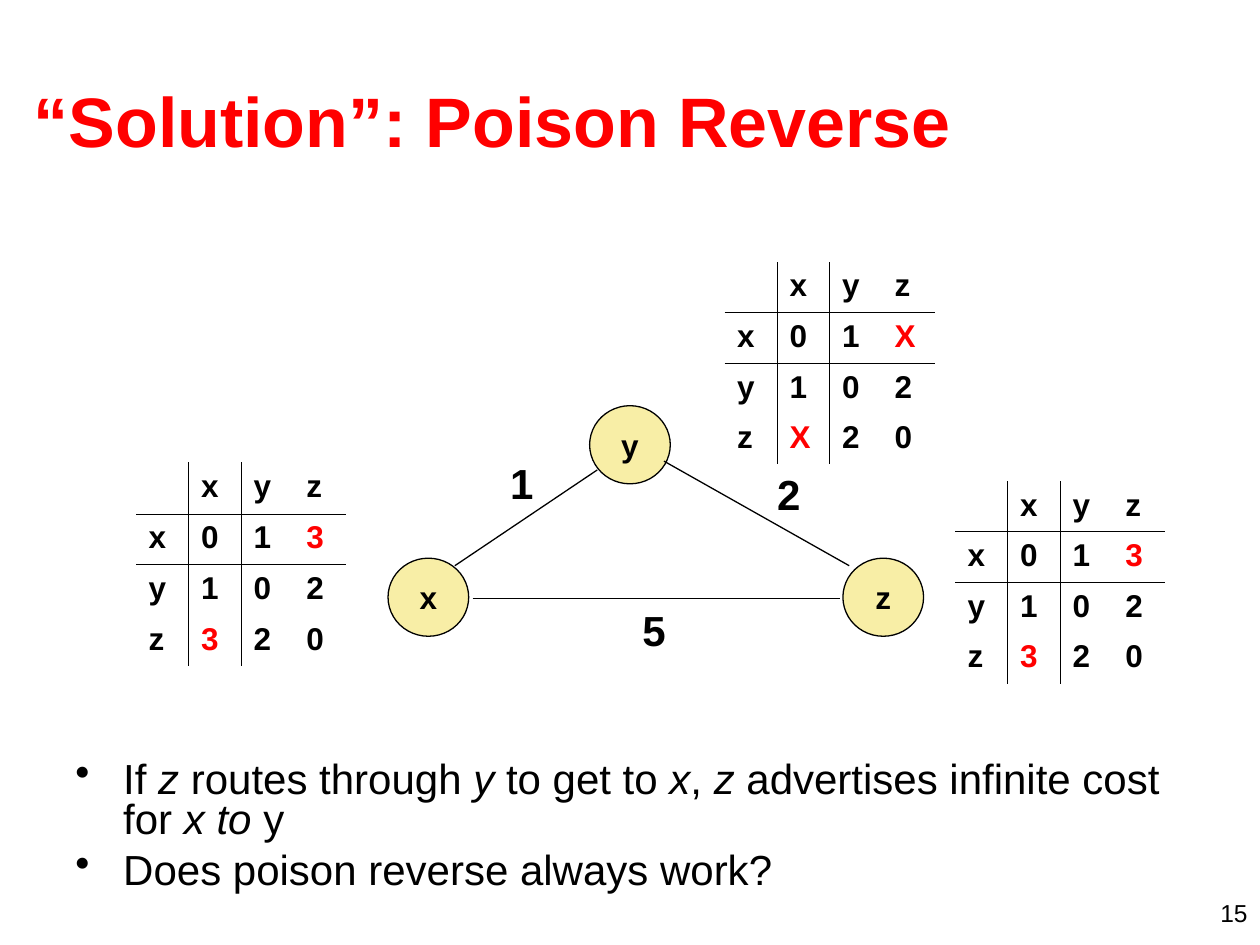
import pptx
import pptx.util
import pptx.dml.color
import pptx.enum.shapes
import pptx.enum.text
import pptx.oxml
import pptx.oxml.ns

Inches, Pt = pptx.util.Inches, pptx.util.Pt
RGBColor = pptx.dml.color.RGBColor
Align = pptx.enum.text.PP_ALIGN
Anchor = pptx.enum.text.MSO_ANCHOR

BLACK = RGBColor(0, 0, 0)
RED = RGBColor(0xFF, 0, 0)
YELLOW = RGBColor(0xF8, 0xEE, 0xA6)
NO_STYLE = "{2D5ABB26-0587-4C30-8999-92F81FD0307C}"

TITLE = "“Solution”: Poison Reverse"
BULLETS = [
    "If *z* routes through *y* to get to *x*, *z* advertises infinite cost for *x to *y",
    "Does poison reverse always work?",
]
PAGE_NUMBER = "15"
NAMES = ["x", "y", "z"]
COST_TABLES = [(1.08, 3.67, "3", 0.41), (5.75, 2.08, "X", 0.4), (7.58, 3.82, "3", 0.4)]
ROUTERS = {"y": (4.68, 3.22), "x": (3.08, 4.43), "z": (6.69, 4.43)}
LINKS = [
    ("5", (3.75, 4.75), (6.67, 4.75), (5, 4.75, 0.75, 0.5)),
    ("1", (3.61, 4.49), (4.74, 3.73), (3.95, 3.58, 0.47, 0.5)),
    ("2", (5.27, 3.66), (6.74, 4.49), (6.07, 3.67, 0.47, 0.5)),
]
ROUTER_SIZE = (0.64, 0.62)
CELL_WIDTH, ROW_HEIGHT = 0.417, 0.402


def inches(*lengths):
    return [Inches(length) for length in lengths]


def write(frame, *paragraphs, size=18, color=BLACK, bold=False, align=Align.LEFT,
          before=0, spacing=None, bullet=False):
    for index, text in enumerate(paragraphs):
        paragraph = frame.add_paragraph() if index else frame.paragraphs[0]
        paragraph.alignment = align
        paragraph.space_before = Pt(before)
        if spacing:
            paragraph.line_spacing = spacing
        if bullet:
            properties = paragraph._p.get_or_add_pPr()
            properties.set("marL", str(Inches(0.38)))
            properties.set("indent", str(-Inches(0.38)))
            mark = pptx.oxml.parse_xml(f'<a:buChar {pptx.oxml.ns.nsdecls("a")} char="•"/>')
            properties.append(mark)
        for part, piece in enumerate(text.split("*")):
            run = paragraph.add_run()
            run.text = piece
            run.font.name = "Arial"
            run.font.size = Pt(size)
            run.font.bold = bold
            run.font.italic = part % 2 == 1
            run.font.color.rgb = color


def add_text(slide, box, *paragraphs, anchor=Anchor.TOP, **text_format):
    frame = slide.shapes.add_textbox(*inches(*box)).text_frame
    frame.word_wrap = True
    frame.vertical_anchor = anchor
    write(frame, *paragraphs, **text_format)


def draw_borders(cell, sides):
    properties = cell._tc.get_or_add_tcPr()
    for side in sides:
        properties.append(pptx.oxml.parse_xml(
            f'<a:ln{side} {pptx.oxml.ns.nsdecls("a")} w="{Pt(0.45)}">'
            f'<a:solidFill><a:srgbClr val="{BLACK}"/></a:solidFill></a:ln{side}>'))


def add_cost_table(slide, left, top, far_cost, header_height):
    costs = [["0", "1", far_cost], ["1", "0", "2"], [far_cost, "2", "0"]]
    grid = [[""] + NAMES] + [[name] + row for name, row in zip(NAMES, costs)]
    count = len(grid)
    table = slide.shapes.add_table(
        count, count, *inches(left, top, count * CELL_WIDTH, count * ROW_HEIGHT)).table
    table.first_row = table.horz_banding = False
    table._tbl.tblPr.find(pptx.oxml.ns.qn("a:tableStyleId")).text = NO_STYLE
    for index in range(count):
        table.columns[index].width = Inches(CELL_WIDTH)
        table.rows[index].height = Inches(ROW_HEIGHT if index else header_height)
    for row, values in enumerate(grid):
        for column, value in enumerate(values):
            cell = table.cell(row, column)
            beside_rule = {0: "R", 1: "L"}.get(column, "")
            along_rule = {0: "B", 1: "T"}.get(row, "")
            draw_borders(cell, beside_rule + along_rule)
            cell.fill.background()
            if value:
                write(cell.text_frame, value, bold=True, before=4.5,
                      color=RED if value == far_cost else BLACK)


def add_router(slide, name, place):
    router = slide.shapes.add_shape(
        pptx.enum.shapes.MSO_SHAPE.OVAL, *inches(*place, *ROUTER_SIZE))
    router.shadow.inherit = False
    router.fill.solid()
    router.fill.fore_color.rgb = YELLOW
    router.line.color.rgb = BLACK
    router.line.width = Pt(0.75)
    router.text_frame.word_wrap = False
    router.text_frame.vertical_anchor = Anchor.MIDDLE
    write(router.text_frame, name, bold=True, align=Align.CENTER)


def add_link(slide, start, end):
    link = slide.shapes.add_connector(
        pptx.enum.shapes.MSO_CONNECTOR.STRAIGHT, *inches(*start, *end))
    link.line.color.rgb = BLACK
    link.line.width = Pt(0.75)
    link._element.spPr.append(
        pptx.oxml.parse_xml(f'<a:effectLst {pptx.oxml.ns.nsdecls("a")}/>'))


def main():
    deck = pptx.Presentation()
    deck.slide_width, deck.slide_height = inches(10, 7.5)
    slide = deck.slides.add_slide(deck.slide_layouts[6])

    add_text(slide, (0.17, 0.32, 9.58, 1.25), TITLE, size=40, color=RED, bold=True,
             anchor=Anchor.MIDDLE)
    add_text(slide, (0.5, 6, 9, 1.17), *BULLETS, size=24, before=6, spacing=0.8, bullet=True)
    for cost_table in COST_TABLES:
        add_cost_table(slide, *cost_table)
    for name, place in ROUTERS.items():
        add_router(slide, name, place)
    for cost, start, end, label_box in LINKS:
        add_link(slide, start, end)
        add_text(slide, label_box, cost, size=24, bold=True, before=15)
    add_text(slide, (7.67, 7.08, 2.33, 0.25), PAGE_NUMBER, size=14, align=Align.RIGHT)
    deck.save("out.pptx")


if __name__ == "__main__":
    main()
